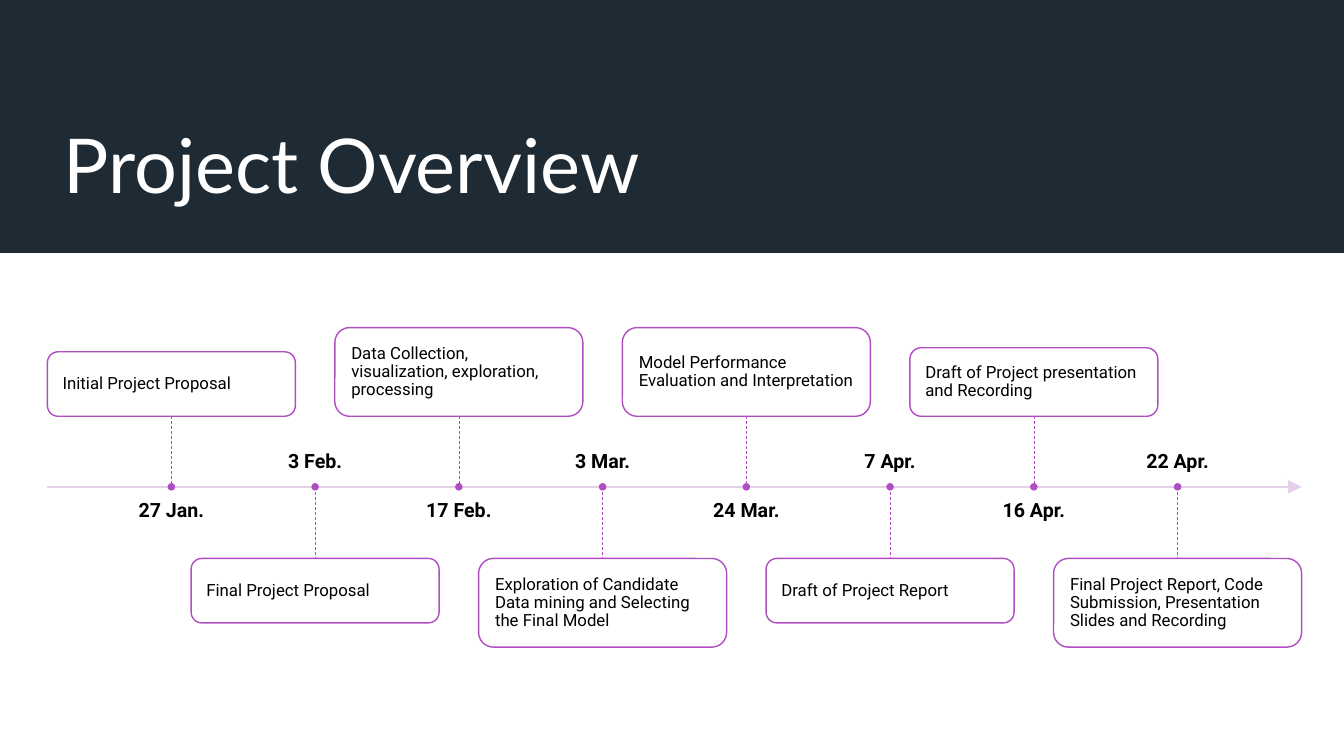
from lxml.etree import SubElement
from pptx import Presentation
from pptx.dml.color import RGBColor
from pptx.enum.dml import MSO_LINE
from pptx.enum.shapes import MSO_CONNECTOR, MSO_SHAPE
from pptx.enum.text import MSO_ANCHOR, MSO_AUTO_SIZE, PP_ALIGN
from pptx.oxml.ns import qn
from pptx.util import Inches, Pt

NAVY, PURPLE, LILAC = "1E2A34", "B04DC3", "E4D0E9"
WHITE, BLACK = "FFFFFF", "000000"

SLIDE_WIDTH, SLIDE_HEIGHT = 13.33, 7.5
BAND_HEIGHT = 2.51
AXIS_Y, AXIS_START, AXIS_END = 4.83, 0.47, 12.91
FIRST_X, LAST_X = 1.7, 11.68
UPPER_BOTTOM, LOWER_TOP = 4.13, 5.54
BOX_WIDTH, DOT_SIZE = 2.46, 0.06
DATE_WIDTH, DATE_HEIGHT, DATE_GAP = 2.16, 0.42, 0.14

# Date, text and box height; boxes alternate above and below the axis
MILESTONES = [
    ("27 Jan.", "Initial Project Proposal", 0.64),
    ("3 Feb.", "Final Project Proposal", 0.64),
    ("17 Feb.", "Data Collection, visualization, exploration, processing", 0.88),
    ("3 Mar.", "Exploration of Candidate Data mining and Selecting the Final Model", 0.88),
    ("24 Mar.", "Model Performance Evaluation and Interpretation", 0.88),
    ("7 Apr.", "Draft of Project Report", 0.64),
    ("16 Apr.", "Draft of Project presentation and Recording", 0.68),
    ("22 Apr.", "Final Project Report, Code Submission, Presentation Slides and Recording", 0.88),
]
STEP = (LAST_X - FIRST_X) / (len(MILESTONES) - 1)


def color(value):
    return RGBColor.from_string(value)


class TimelinePage:
    heading_font = "Lato"
    body_font = "Roboto"

    def __init__(self, page):
        self.page = page
        self.shapes = page.shapes

    def shape(self, kind, left, top, width, height, fill, line=None):
        shape = self.shapes.add_shape(
            kind, Inches(left), Inches(top), Inches(width), Inches(height))
        shape.shadow.inherit = False
        shape.fill.solid()
        shape.fill.fore_color.rgb = color(fill)
        if line:
            shape.line.color.rgb = color(line)
            shape.line.width = Pt(1)
        else:
            shape.line.fill.background()
        return shape

    def set_text(self, shape, text, size, ink, font, anchor, inset=0.0,
                 align=PP_ALIGN.LEFT, bold=False, spacing=0.9):
        """Fill a shape with one formatted paragraph."""
        frame = shape.text_frame
        frame.text = text
        frame.word_wrap = True
        frame.auto_size = MSO_AUTO_SIZE.NONE
        frame.vertical_anchor = anchor
        frame.margin_left = frame.margin_right = Inches(inset)
        frame.margin_top = frame.margin_bottom = Inches(inset)
        para = frame.paragraphs[0]
        para.alignment = align
        para.line_spacing = spacing
        para.font.name = font
        para.font.size = Pt(size)
        para.font.bold = bold
        para.font.color.rgb = color(ink)

    def title(self, text):
        band = self.shape(MSO_SHAPE.RECTANGLE, 0, 0, SLIDE_WIDTH, BAND_HEIGHT, NAVY)
        title = self.shapes.title
        band.element.addnext(title.element)
        title.left, title.top = Inches(0.53), Inches(0.4)
        title.width, title.height = Inches(11.89), Inches(1.72)
        self.set_text(title, text, 54, WHITE, self.heading_font,
                      MSO_ANCHOR.BOTTOM, inset=0.1, spacing=1.0)
        title.text_frame.margin_bottom = Inches(0.05)

    def line(self, start, end, ink, width):
        line = self.shapes.add_connector(
            MSO_CONNECTOR.STRAIGHT, *(Inches(value) for value in start + end))
        line.line.color.rgb = color(ink)
        line.line.width = Pt(width)
        SubElement(line.element.spPr, qn("a:effectLst"))
        return line

    def axis(self):
        axis = self.line((AXIS_START, AXIS_Y), (AXIS_END, AXIS_Y), LILAC, 1)
        outline = axis.element.spPr.find(qn("a:ln"))
        SubElement(outline, qn("a:tailEnd"), type="triangle", w="lg", len="lg")

    def date(self, text, center, above):
        top = AXIS_Y - DATE_GAP - DATE_HEIGHT if above else AXIS_Y + DATE_GAP
        box = self.shapes.add_textbox(
            Inches(center - DATE_WIDTH / 2), Inches(top),
            Inches(DATE_WIDTH), Inches(DATE_HEIGHT))
        anchor = MSO_ANCHOR.BOTTOM if above else MSO_ANCHOR.TOP
        self.set_text(box, text, 14, BLACK, self.body_font, anchor,
                      align=PP_ALIGN.CENTER, bold=True)

    def milestone(self, date, text, height, center, above):
        """Draw a box with its stem, its dot and a date across the axis."""
        top = UPPER_BOTTOM - height if above else LOWER_TOP
        box = self.shape(MSO_SHAPE.ROUNDED_RECTANGLE, center - BOX_WIDTH / 2, top,
                         BOX_WIDTH, height, WHITE, PURPLE)
        self.set_text(box, text, 12, BLACK, self.body_font, MSO_ANCHOR.MIDDLE,
                      inset=0.12)
        edge = UPPER_BOTTOM if above else LOWER_TOP
        stem = self.line((center, min(edge, AXIS_Y)), (center, max(edge, AXIS_Y)),
                         PURPLE, 0.5)
        stem.line.dash_style = MSO_LINE.DASH
        self.shape(MSO_SHAPE.OVAL, center - DOT_SIZE / 2, AXIS_Y - DOT_SIZE / 2,
                   DOT_SIZE, DOT_SIZE, PURPLE, PURPLE)
        self.date(date, center, not above)


def main():
    deck = Presentation()
    deck.slide_width, deck.slide_height = Inches(SLIDE_WIDTH), Inches(SLIDE_HEIGHT)
    overview = TimelinePage(deck.slides.add_slide(deck.slide_layouts[5]))
    overview.title("Project Overview")
    overview.axis()
    for index, (date, text, height) in enumerate(MILESTONES):
        overview.milestone(date, text, height, FIRST_X + index * STEP, index % 2 == 0)
    deck.save("out.pptx")


if __name__ == "__main__":
    main()
